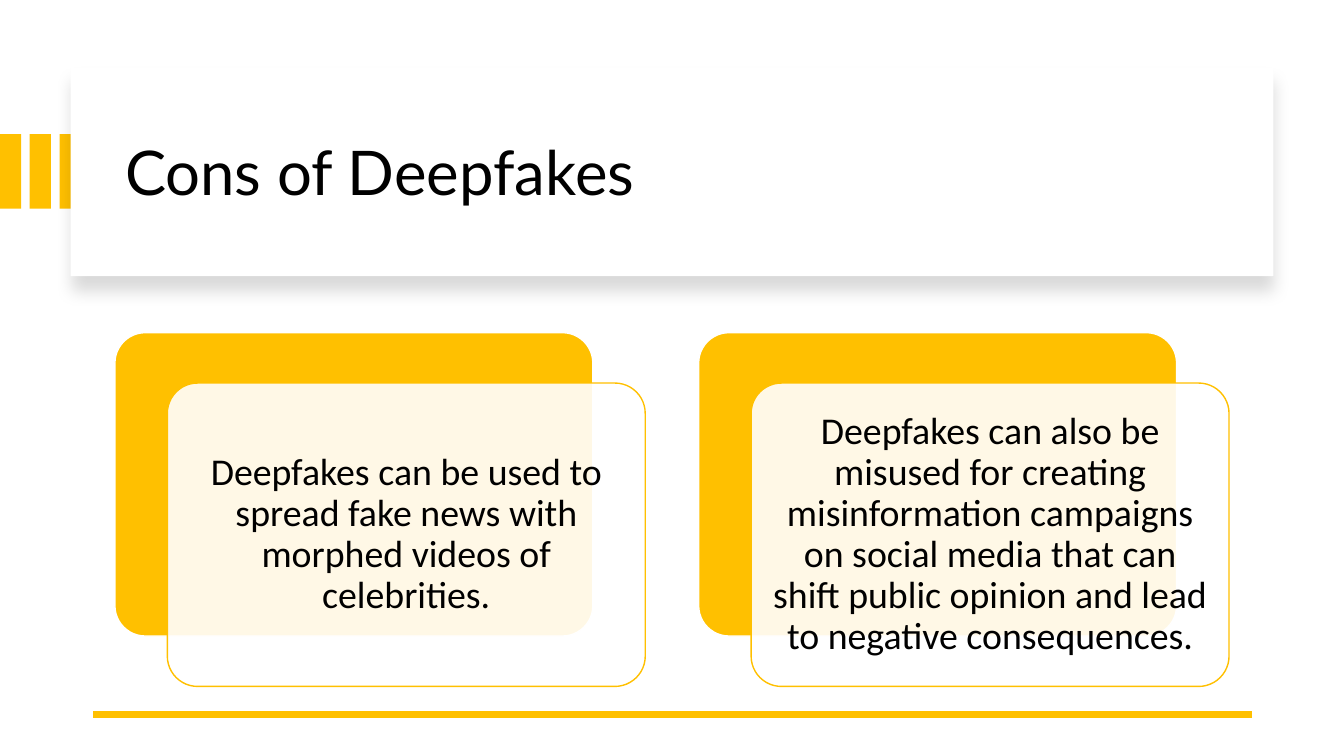
import pptx
import pptx.util
import pptx.dml.color
import pptx.enum.shapes
import pptx.enum.text
import pptx.oxml
import pptx.oxml.ns
from lxml import etree

Inches = pptx.util.Inches
Pt = pptx.util.Pt
RGB = pptx.dml.color.RGBColor
Kind = pptx.enum.shapes.MSO_SHAPE
Align = pptx.enum.text.PP_ALIGN
Anchor = pptx.enum.text.MSO_ANCHOR
qn = pptx.oxml.ns.qn

GOLD = RGB(0xFF, 0xC0, 0x00)
WHITE = RGB(0xFF, 0xFF, 0xFF)
BLACK = RGB(0x00, 0x00, 0x00)

CONS = [
    "Deepfakes can be used to spread fake news with morphed videos of celebrities.",
    "Deepfakes can also be misused for creating misinformation campaigns on social "
    "media that can shift public opinion and lead to negative consequences.",
]


def add_box(slide, kind, left, top, width, height, fill, line=None):
    box = slide.shapes.add_shape(
        kind, Inches(left), Inches(top), Inches(width), Inches(height))
    box.shadow.inherit = False
    box.fill.solid()
    box.fill.fore_color.rgb = fill
    if line is None:
        box.line.fill.background()
    else:
        box.line.color.rgb = line
        box.line.width = Pt(1)
    return box


def set_alpha(parent, percent):
    """Set the opacity of the RGB colour found under parent."""
    color = next(parent.iter(qn("a:srgbClr")))
    etree.SubElement(color, qn("a:alpha"), val=str(percent * 1000))


def add_panel(slide):
    """Add the white title panel with its soft shadow below."""
    panel = add_box(slide, Kind.RECTANGLE, 0.7, 0.67, 11.93, 2.07, WHITE)
    effects = panel.element.spPr.find(qn("a:effectLst"))
    shadow = etree.SubElement(
        effects, qn("a:outerShdw"), blurRad=str(Pt(11)), dist=str(Pt(10)),
        dir=str(90 * 60000), algn="t", rotWithShape="0")
    etree.SubElement(shadow, qn("a:srgbClr"), val=str(BLACK))
    set_alpha(shadow, 15)


def style_text(frame, text, font, size, align):
    frame.word_wrap = True
    frame.auto_size = pptx.enum.text.MSO_AUTO_SIZE.NONE
    frame.vertical_anchor = Anchor.MIDDLE
    para = frame.paragraphs[0]
    para.text = text
    para.alignment = align
    para.line_spacing = 0.9
    para.font.name = font
    para.font.size = Pt(size)
    para.font.color.rgb = BLACK


def set_title(slide, text):
    title = slide.shapes.title
    title.left, title.top = Inches(1.14), Inches(0.89)
    title.width, title.height = Inches(11.13), Inches(1.7)
    style_text(title.text_frame, text, "Lato", 44, Align.LEFT)
    # Bring the title in front of the panel
    title.element.getparent().append(title.element)


def add_rule(slide):
    rule = slide.shapes.add_connector(
        pptx.enum.shapes.MSO_CONNECTOR.STRAIGHT,
        Inches(12.42), Inches(7.09), Inches(0.92), Inches(7.09))
    rule.line.color.rgb = GOLD
    rule.line.width = Pt(4.5)
    etree.SubElement(rule.element.spPr, qn("a:effectLst"))


def add_card(slide, left, text):
    """Add a gold card, a pale card offset over it, and the text."""
    top, width, height = 3.3, 4.74, 3.01
    back = add_box(slide, Kind.ROUNDED_RECTANGLE,
                   left, top, width, height, GOLD, WHITE)
    front = add_box(slide, Kind.ROUNDED_RECTANGLE,
                    left + 0.52, top + 0.5, width, height, WHITE, GOLD)
    for card in (back, front):
        card.adjustments[0] = 0.1
    set_alpha(front.element.spPr.find(qn("a:solidFill")), 90)

    label = slide.shapes.add_textbox(
        Inches(left + 0.61), Inches(top + 0.59),
        Inches(width - 0.18), Inches(height - 0.18))
    frame = label.text_frame
    frame.margin_left = frame.margin_right = Inches(0.11)
    frame.margin_top = frame.margin_bottom = Inches(0.11)
    style_text(frame, text, "Calibri", 27, Align.CENTER)


def main():
    deck = pptx.Presentation()
    deck.slide_width, deck.slide_height = Inches(13.33), Inches(7.5)
    slide = deck.slides.add_slide(deck.slide_layouts[5])
    for i in range(3):
        add_box(slide, Kind.RECTANGLE, i * 0.295, 1.33, 0.21, 0.74, GOLD)
    add_panel(slide)
    set_title(slide, "Cons of Deepfakes")
    add_rule(slide)
    for i, text in enumerate(CONS):
        add_card(slide, 1.14 + i * 5.79, text)
    deck.save("out.pptx")


if __name__ == "__main__":
    main()
